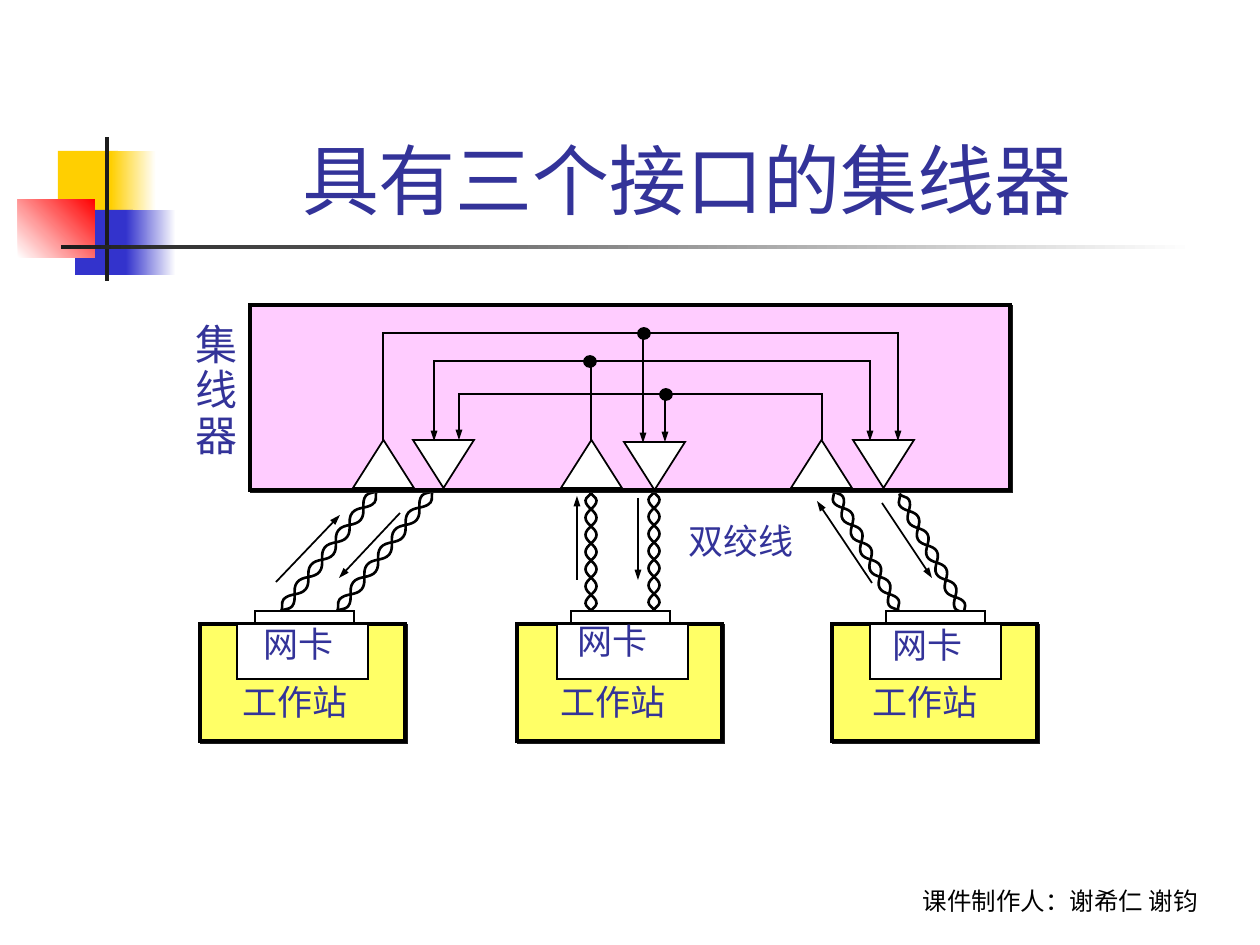
from lxml.etree import SubElement
from pptx import Presentation
from pptx.dml.color import RGBColor
from pptx.enum.shapes import MSO_CONNECTOR as LINK, MSO_SHAPE as KIND
from pptx.enum.text import MSO_ANCHOR as ANCHOR, MSO_AUTO_SIZE as AUTO, PP_ALIGN as ALIGN
from pptx.oxml.ns import qn
from pptx.util import Pt

PX = 914400 / 126
BLACK = RGBColor(0x00, 0x00, 0x00)
WHITE = RGBColor(0xFF, 0xFF, 0xFF)
DARK = RGBColor(0x1C, 0x1C, 0x1C)
GOLD = RGBColor(0xFF, 0xCF, 0x01)
BLUE = RGBColor(0x33, 0x33, 0xCC)
RED = RGBColor(0xFF, 0x00, 0x00)
NAVY = RGBColor(0x33, 0x33, 0x99)
PINK = RGBColor(0xFF, 0xCC, 0xFF)
YELLOW = RGBColor(0xFF, 0xFF, 0x66)

deck = Presentation()
deck.slide_width, deck.slide_height = round(1260 * PX), round(945 * PX)
slide = deck.slides.add_slide(deck.slide_layouts[5])
shapes = slide.shapes


def ink(shape, width, arrow=False):
    shape.line.color.rgb = BLACK
    shape.line.width = Pt(width)
    edge = shape._element.spPr.find(qn("a:ln"))
    SubElement(edge, qn("a:miter"), lim="800000")
    if arrow:
        SubElement(edge, qn("a:tailEnd"), type="triangle", w="sm", len="med")
    if shape._element.spPr.find(qn("a:effectLst")) is None:
        SubElement(shape._element.spPr, qn("a:effectLst"))


def box(kind, area, fill, width=0, drop=False):
    shape = shapes.add_shape(kind, *[round(v * PX) for v in area])
    shape.shadow.inherit = False
    if isinstance(fill, tuple) and not isinstance(fill, RGBColor):
        first, last, angle = fill
        shape.fill.gradient()
        shape.fill.gradient_angle = angle
        for stop, color in zip(shape.fill.gradient_stops, (first, last)):
            stop.color.rgb = color
    else:
        shape.fill.solid()
        shape.fill.fore_color.rgb = fill
    if width:
        ink(shape, width)
    else:
        shape.line.fill.background()
    if drop:
        effect = shape._element.spPr.find(qn("a:effectLst"))
        cast = SubElement(effect, qn("a:outerShdw"), dist="17780", dir="2700000", algn="ctr", rotWithShape="0")
        SubElement(cast, qn("a:srgbClr"), val=str(DARK))
    return shape


for area, fill in (
    ((58, 151, 60, 66), GOLD),
    ((111, 151, 45, 66), (GOLD, WHITE, 0)),
    ((75, 210, 58, 65), BLUE),
    ((126, 210, 50, 65), (BLUE, WHITE, 0)),
    ((18, 199, 77, 59), (WHITE, RED, 45)),
    ((105, 137, 4, 144), DARK),
    ((61, 245, 1134, 4), (DARK, WHITE, 0)),
):
    box(KIND.RECTANGLE, area, fill)

for cx, cy, span, turn in (
    (329, 551, 155, 308.4),
    (385, 551, 155, 308.4),
    (866, 551, 137, 61.7),
    (932, 554, 137, 61.7),
    (654, 551, 120, 90),
    (591, 552, 120, 90),
):
    pair = shapes.add_group_shape()
    for side in (-5.5, 5.5):
        left = cx - span / 2
        knots = [(left, cy)]
        knots += [(left + span * (k + 0.5) / 7, cy + side * (-1) ** k) for k in range(7)]
        knots.append((left + span, cy))
        points = []
        for (x1, y1), (x2, y2) in zip(knots, knots[1:]):
            pull = 0.4 * (x2 - x1)
            points += [(x1 + pull, y1), (x2 - pull, y2), (x2, y2)]
        pen = pair.shapes.build_freeform(left * PX, cy * PX, scale=1.0)
        pen.add_line_segments([(x * PX, y * PX) for x, y in points], close=False)
        strand = pen.convert_to_shape()
        legs = list(strand._element.iter(qn("a:lnTo")))
        for at in range(0, len(legs), 3):
            curve = SubElement(legs[at].getparent(), qn("a:cubicBezTo"))
            for leg in legs[at:at + 3]:
                curve.append(leg[0])
                leg.getparent().remove(leg)
        strand.fill.background()
        ink(strand, 1.5)
        strand.rotation = turn

box(KIND.RECTANGLE, (250, 305, 760, 185), PINK, 2, True)
for left, top, turn in (
    (353, 440, 0), (791, 440, 0), (561, 440, 0),
    (853, 440, 180), (413, 440, 180), (624, 442, 180),
):
    box(KIND.ISOSCELES_TRIANGLE, (left, top, 61, 48), WHITE, 1).rotation = turn

for points in (
    [(822, 440), (822, 394), (459, 394), (459, 440)],
    [(591, 442), (591, 361), (870, 361), (870, 441)],
    [(591, 361), (434, 361), (434, 441)],
    [(383, 442), (383, 333), (898, 333), (898, 441)],
):
    start, *rest = [(x * PX, y * PX) for x, y in points]
    pen = shapes.build_freeform(*start, scale=1.0)
    pen.add_line_segments(rest, close=False)
    wire = pen.convert_to_shape()
    wire.fill.background()
    ink(wire, 1, True)

for ends in (
    (665, 396, 665, 442),
    (643, 335, 643, 443),
    (577, 580, 577, 496),
    (638, 498, 638, 580),
    (276, 582, 340, 515),
    (400, 513, 339, 578),
    (872, 583, 817, 501),
    (882, 503, 932, 578),
):
    link = shapes.add_connector(LINK.STRAIGHT, *[round(v * PX) for v in ends])
    ink(link, 1, True)

notes = [
    ("集\n线\n器", (183, 318, 67, 149), 24),
    ("双绞线", (676, 513, 130, 54), 20),
]
for left, card, slot, name, top, role in (
    (517, 557, 571, 565, 613, 548),
    (200, 237, 255, 251, 616, 230),
    (832, 870, 886, 880, 617, 860),
):
    box(KIND.RECTANGLE, (left, 624, 205, 117), YELLOW, 2, True)
    box(KIND.RECTANGLE, (card, 624, 131, 55), WHITE, 1)
    box(KIND.RECTANGLE, (slot, 611, 99, 12), WHITE, 1)
    notes += [("网卡", (name, top, 96, 54), 20), ("工作站", (role, 674, 130, 54), 20)]

for x, y in ((590, 361), (644, 333), (666, 394)):
    box(KIND.OVAL, (x - 6, y - 5, 12, 11), BLACK, 1)

for words, area, size in notes:
    label = shapes.add_textbox(*[round(v * PX) for v in area])
    frame = label.text_frame
    frame.text = words
    frame.word_wrap = False
    for para in frame.paragraphs:
        if size == 24:
            para.line_spacing = 0.9
        font = para.runs[0].font
        font.size, font.name = Pt(size), "Times New Roman"
        font.color.rgb = NAVY

title = shapes.title
title.left, title.top, title.width, title.height = [round(v * PX) for v in (159, 29, 1074, 202)]
foot = shapes.add_textbox(*[round(v * PX) for v in (861, 859, 399, 63)])
for shape, words, size, face, color in (
    (title, "具有三个接口的集线器 ", 44, "Arial", NAVY),
    (foot, "课件制作人：谢希仁 谢钧", 14, "Roboto", BLACK),
):
    frame = shape.text_frame
    frame.text = words
    frame.word_wrap = True
    frame.auto_size = AUTO.NONE
    frame.vertical_anchor = ANCHOR.BOTTOM
    para = frame.paragraphs[0]
    para.alignment = ALIGN.CENTER
    font = para.runs[0].font
    font.size, font.name = Pt(size), face
    font.color.rgb = color

deck.save("out.pptx")
